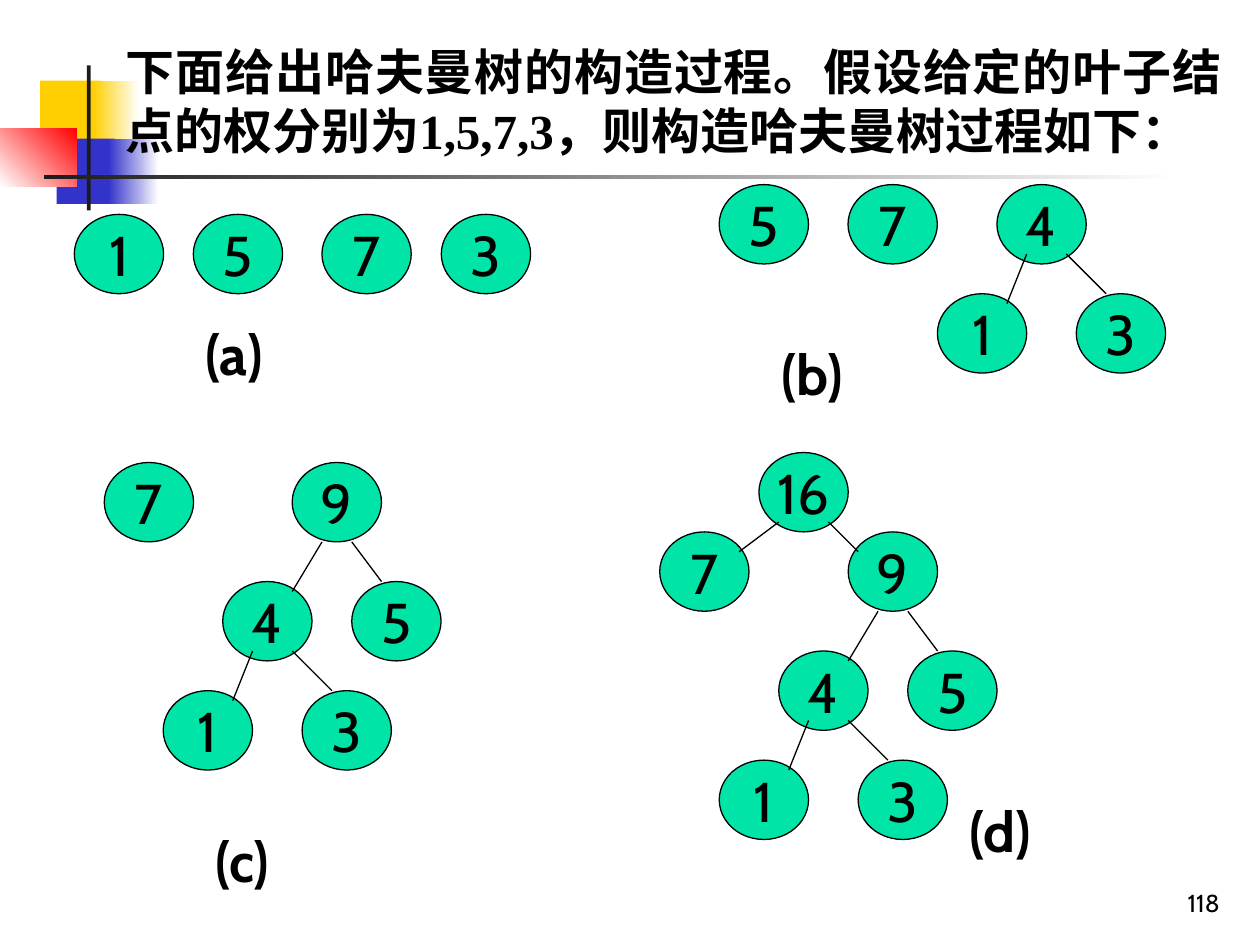
from lxml import etree
from pptx import Presentation
from pptx.dml.color import RGBColor
from pptx.enum.shapes import MSO_CONNECTOR, MSO_SHAPE
from pptx.enum.text import MSO_ANCHOR, MSO_AUTO_SIZE, PP_ALIGN
from pptx.oxml.ns import qn
from pptx.util import Pt

COLORS = {
    "black": "000000", "white": "FFFFFF", "node": "00E4A8", "yellow": "FFCF01",
    "blue": "3333CC", "red": "FF0000", "rule": "1C1C1C",
}
STEP = 5.67  # drawing grid, in points
NODE_W, NODE_H = 9 * STEP, 8 * STEP
LABEL_W, LABEL_H = 73.4, 46


def rgb(name):
    return RGBColor.from_string(COLORS[name])


class Deck:
    font = "Cabin"
    title_font = "Times New Roman"
    node_size = 32

    def __init__(self, width, height):
        self.prs = Presentation()
        self.prs.slide_width, self.prs.slide_height = Pt(width), Pt(height)
        self.slide = self.prs.slides.add_slide(self.prs.slide_layouts[6])
        self.shapes = self.slide.shapes

    def start_group(self):
        self.shapes = self.slide.shapes.add_group_shape().shapes

    def end_group(self):
        self.shapes = self.slide.shapes

    def block(self, left, top, width, height, *colors, angle=0):
        bar = self.shapes.add_shape(
            MSO_SHAPE.RECTANGLE, Pt(left), Pt(top), Pt(width), Pt(height))
        bar.shadow.inherit = False
        bar.line.fill.background()
        if len(colors) == 1:
            bar.fill.solid()
            bar.fill.fore_color.rgb = rgb(colors[0])
        else:
            bar.fill.gradient()
            bar.fill.gradient_angle = angle
            for stop, color in zip(bar.fill.gradient_stops, colors):
                stop.color.rgb = rgb(color)

    def text(self, content, left, top, width, height, size=node_size, font=font,
             bold=False, align=PP_ALIGN.LEFT, anchor=MSO_ANCHOR.TOP,
             grow=True, spacing=None):
        box = self.shapes.add_textbox(Pt(left), Pt(top), Pt(width), Pt(height))
        frame = box.text_frame
        frame.word_wrap = True
        frame.auto_size = MSO_AUTO_SIZE.SHAPE_TO_FIT_TEXT if grow else MSO_AUTO_SIZE.NONE
        frame.vertical_anchor = anchor
        paragraph = frame.paragraphs[0]
        paragraph.alignment = align
        if spacing:
            paragraph.line_spacing = spacing
        run = paragraph.add_run()
        run.text = content
        run.font.size, run.font.name, run.font.bold = Pt(size), font, bold
        run.font.color.rgb = rgb("black")

    def node(self, weight, x, y):
        circle = self.shapes.add_shape(
            MSO_SHAPE.OVAL, Pt(x), Pt(y), Pt(NODE_W), Pt(NODE_H))
        circle.shadow.inherit = False
        circle.fill.solid()
        circle.fill.fore_color.rgb = rgb("node")
        circle.line.color.rgb = rgb("black")
        circle.line.width = Pt(0.75)
        self.text(str(weight), x - (LABEL_W - NODE_W) / 2, y, LABEL_W, LABEL_H,
                  align=PP_ALIGN.CENTER)

    def edge(self, x1, y1, x2, y2):
        branch = self.shapes.add_connector(
            MSO_CONNECTOR.STRAIGHT, Pt(x1), Pt(y1), Pt(x2), Pt(y2))
        branch.line.color.rgb = rgb("black")
        branch.line.width = Pt(0.75)
        properties = branch.element.find(qn("p:spPr"))
        etree.SubElement(properties, qn("a:effectLst"))

    def tree(self, weight, x, y):
        """Draw a node with everything below it; leaves have no entry in BRANCHES."""
        children, edges = BRANCHES.get(weight, ((), ()))
        for child, dx, dy in children:
            self.tree(child, x + dx * STEP, y + dy * STEP)
        self.node(weight, x, y)
        for x1, y1, x2, y2 in edges:
            self.edge(x + x1 * STEP, y + y1 * STEP, x + x2 * STEP, y + y2 * STEP)


# Inner nodes: children (weight, dx, dy) and edges, in grid steps from the parent
BRANCHES = {
    4: (((1, -6, 11), (3, 8, 11)), ((3, 7, 1, 12), (7, 7, 11, 11))),
    9: (((4, -7, 12), (5, 6, 12)), ((3, 8, 0, 13), (6, 8, 9, 12))),
    16: (((7, -10, 8), (9, 9, 8)), ((2, 7, -2, 10), (7, 7, 10, 10))),
}

# Each stage: caption with its place, and the roots (weight, x, y) of its forest
STAGES = [
    (("(a)", 110.5, 179), ((1, 42.5, 122.5), (5, 110.5, 122.5),
                           (7, 184, 122.5), (3, 252.2, 122.5))),
    (("(b)", 439.4, 190.5), ((5, 411, 105.5), (7, 484.6, 105.5), (4, 569.7, 105.5))),
    (("(c)", 116, 468.5), ((7, 59.6, 264.3), (9, 167, 264.3))),
    (("(d)", 547, 451.5), ((16, 433.7, 258.6),)),
]


def main():
    deck = Deck(720, 540)

    # Corner decoration and rule
    deck.block(23, 46.1, 34.5, 37.4, "yellow")
    deck.block(53.3, 46.1, 26, 37.4, "yellow", "white")
    deck.block(32.4, 79.2, 33.1, 37.4, "blue")
    deck.block(62, 79.2, 28.8, 37.4, "blue", "white")
    deck.block(0, 73.4, 44, 33.1, "white", "red", angle=45)
    deck.block(49.7, 37.4, 2.2, 82.8, "rule")
    deck.block(25.2, 100, 648, 2.5, "rule", "white")

    # Title
    deck.text("下面给出哈夫曼树的构造过程。假设给定的叶子结点的权分别为1,5,7,3，"
              "则构造哈夫曼树过程如下：", 64.8, 20.2, 640.8, 74.9,
              size=28, font=deck.title_font, bold=True, align=PP_ALIGN.JUSTIFY)

    # Construction stages
    for _, roots in STAGES:
        deck.start_group()
        for root in roots:
            deck.tree(*root)
        deck.end_group()

    # Stage captions
    for (caption, x, y), _ in STAGES:
        deck.text(caption, x, y, 85, LABEL_H, bold=True)

    # Page number
    deck.text("118", 554.4, 491.8, 149.8, 36, size=14, align=PP_ALIGN.RIGHT,
              anchor=MSO_ANCHOR.BOTTOM, grow=False, spacing=0.8)

    deck.prs.save("out.pptx")


if __name__ == "__main__":
    main()
